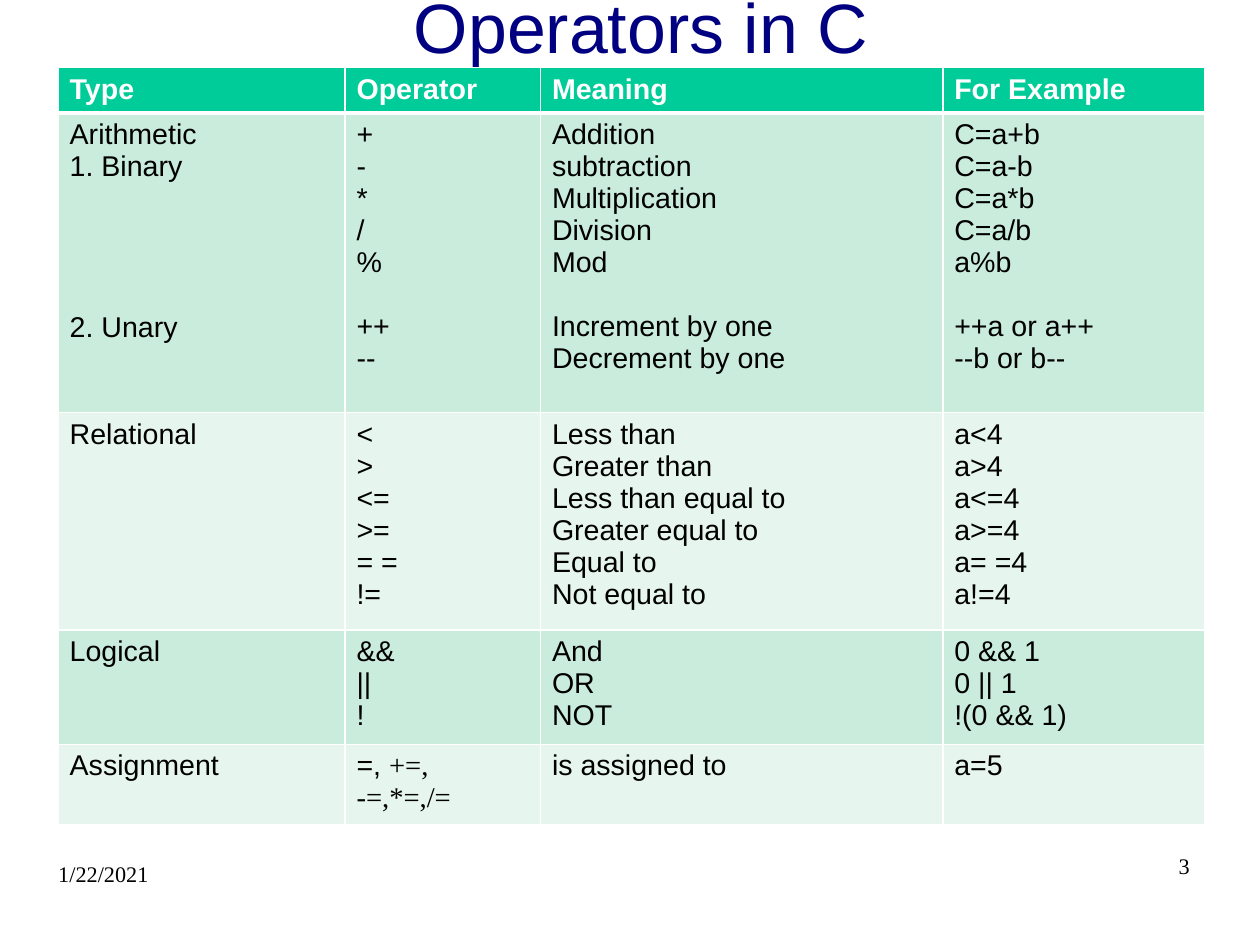
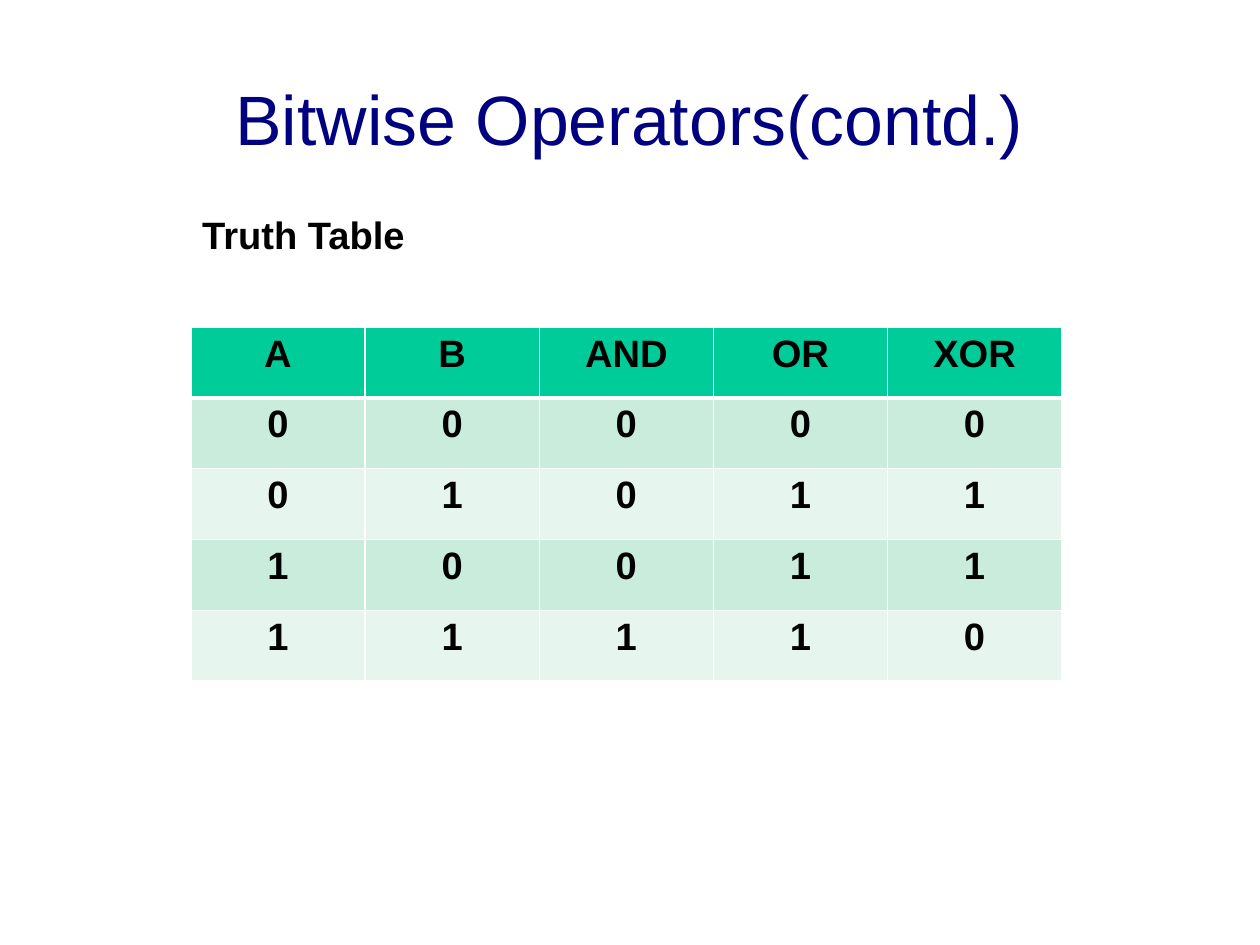
from lxml import etree
from pptx import Presentation
from pptx import util as u
from pptx.dml.color import RGBColor
from pptx.enum import text as t
from pptx.oxml import ns

NAVY = RGBColor(0x00, 0x00, 0x80)
BLACK = RGBColor(0x00, 0x00, 0x00)
WHITE = RGBColor(0xFF, 0xFF, 0xFF)
GREEN = RGBColor(0x00, 0xCC, 0x99)
BANDS = [RGBColor(0xCA, 0xEC, 0xDD), RGBColor(0xE6, 0xF6, 0xEF)]
SANS = "Arial"
SERIF = "Times New Roman"
LINE_STEP = 20.2
CM_PER_INCH = 2.54

OPERATORS = [
    [["Type"], ["Operator"], ["Meaning"], ["For Example"]],
    [
        ["Arithmetic", "1. Binary", 4, "2. Unary"],
        ["+", "-", "*", "/", "%", 1, "++", "--"],
        ["Addition", "subtraction", "Multiplication", "Division", "Mod", 1,
         "Increment by one", "Decrement by one"],
        ["C=a+b", "C=a-b", "C=a*b", "C=a/b", "a%b", 1, "++a or a++", "--b or b--"],
    ],
    [
        ["Relational"],
        ["<", ">", "<=", ">=", "= =", "!="],
        ["Less than", "Greater than", "Less than equal to", "Greater equal to",
         "Equal to", "Not equal to"],
        ["a<4", "a>4", "a<=4", "a>=4", "a= =4", "a!=4"],
    ],
    [
        ["Logical"],
        ["&&", "||", "!"],
        ["And", "OR", "NOT"],
        ["0 && 1", "0 || 1", "!(0 && 1)"],
    ],
    [
        ["Assignment"],
        [[("=, ", SANS), ("+=, -=,*=,/=", SERIF)]],
        ["is assigned to"],
        ["a=5"],
    ],
]


class Deck:
    """Holds the shared style and the current slide."""

    def __init__(self):
        self.presentation = Presentation()
        self.presentation.slide_width = u.Inches(28 / CM_PER_INCH)
        self.presentation.slide_height = u.Inches(21 / CM_PER_INCH)
        self.slide = None

    def add_slide(self):
        layout = self.presentation.slide_layouts[6]
        self.slide = self.presentation.slides.add_slide(layout)

    def run(self, paragraph, content, size, color, font=SANS, bold=False):
        run = paragraph.add_run()
        run.text = content
        run.font.size = u.Pt(size)
        run.font.name = font
        run.font.bold = bold
        run.font.color.rgb = color

    def text(self, box, content, size, color=BLACK, font=SANS, bold=False,
             align=t.PP_ALIGN.LEFT, anchor=t.MSO_ANCHOR.TOP, inset=(0, 0), spacing=0.95):
        shape = self.slide.shapes.add_textbox(*map(u.Inches, box))
        frame = shape.text_frame
        frame.word_wrap = True
        frame.vertical_anchor = anchor
        frame.margin_left = frame.margin_right = u.Inches(inset[0])
        frame.margin_top = frame.margin_bottom = u.Inches(inset[1])
        paragraph = frame.paragraphs[0]
        paragraph.alignment = align
        paragraph.line_spacing = spacing
        self.run(paragraph, content, size, color, font, bold)

    def title(self, box, content):
        self.text(box, content, 44, NAVY, align=t.PP_ALIGN.CENTER,
                  anchor=t.MSO_ANCHOR.MIDDLE)

    def borders(self, cell, row):
        properties = cell._tc.get_or_add_tcPr()
        widths = {"L": 1, "R": 1, "T": 3 if row == 1 else 1, "B": 3 if row == 0 else 1}
        for side, width in widths.items():
            line = etree.SubElement(properties, ns.qn(f"a:ln{side}"), w=str(u.Pt(width)))
            fill = etree.SubElement(line, ns.qn("a:solidFill"))
            etree.SubElement(fill, ns.qn("a:srgbClr"), val=str(WHITE))

    def cell(self, cell, lines, size, color, bold, align):
        """Fills a cell; a number among the lines is a gap of that many lines."""
        cell.margin_left = cell.margin_right = u.Inches(0.1)
        cell.margin_top = cell.margin_bottom = u.Inches(0.05)
        frame = cell.text_frame
        paragraph, gap = frame.paragraphs[0], 0
        for line in lines:
            if isinstance(line, int):
                gap = line
                continue
            if paragraph.runs:
                paragraph = frame.add_paragraph()
            paragraph.alignment = align
            if gap:
                paragraph.space_before = u.Pt(round(gap * LINE_STEP, 1))
                gap = 0
            for content, font in [(line, SANS)] if isinstance(line, str) else line:
                self.run(paragraph, content, size, color, font, bold)

    def table(self, left, top, widths, heights, rows, size, header_color,
              bold=False, align=t.PP_ALIGN.LEFT):
        box = (left, top, sum(widths), sum(heights))
        table = self.slide.shapes.add_table(
            len(rows), len(widths), *map(u.Inches, box)).table
        table.horz_banding = False
        for column, width in zip(table.columns, widths):
            column.width = u.Inches(width)
        for index, (height, cells) in enumerate(zip(heights, rows)):
            table.rows[index].height = u.Inches(height)
            header = index == 0
            for column, lines in enumerate(cells):
                cell = table.cell(index, column)
                self.borders(cell, index)
                cell.fill.solid()
                cell.fill.fore_color.rgb = GREEN if header else BANDS[(index - 1) % 2]
                self.cell(cell, lines, size, header_color if header else BLACK,
                          bold or header, align)


def truth_rows():
    rows = [[["A"], ["B"], ["AND"], ["OR"], ["XOR"]]]
    for a in (0, 1):
        for b in (0, 1):
            rows.append([[str(value)] for value in (a, b, a & b, a | b, a ^ b)])
    return rows


def main():
    deck = Deck()

    deck.add_slide()
    deck.title((0.65, 0.02, 9.92, 0.47), "Operators in C")
    deck.text((0.51, 7.54, 1.17, 0.57), "1/22/2021", 14, font=SERIF)
    deck.text((7.85, 7.47, 2.56, 0.57), "3", 14, font=SERIF, align=t.PP_ALIGN.RIGHT)
    deck.table(0.51, 0.59, [2.51, 1.71, 3.52, 2.29], [0.38, 2.62, 1.82, 0.96, 0.66],
               OPERATORS, 18, WHITE)

    deck.add_slide()
    deck.title((0.55, 0.37, 9.92, 1.38), "Bitwise Operators(contd.)")
    deck.table(1.67, 2.86, [7.62 / 5] * 5, [0.62] * 5, truth_rows(), 24, BLACK,
               bold=True, align=t.PP_ALIGN.CENTER)
    deck.text((1.67, 1.8, 3.75, 0.51), "Truth Table", 24, bold=True,
              inset=(0.1, 0.05), spacing=1.0)

    deck.presentation.save("out.pptx")


if __name__ == "__main__":
    main()
